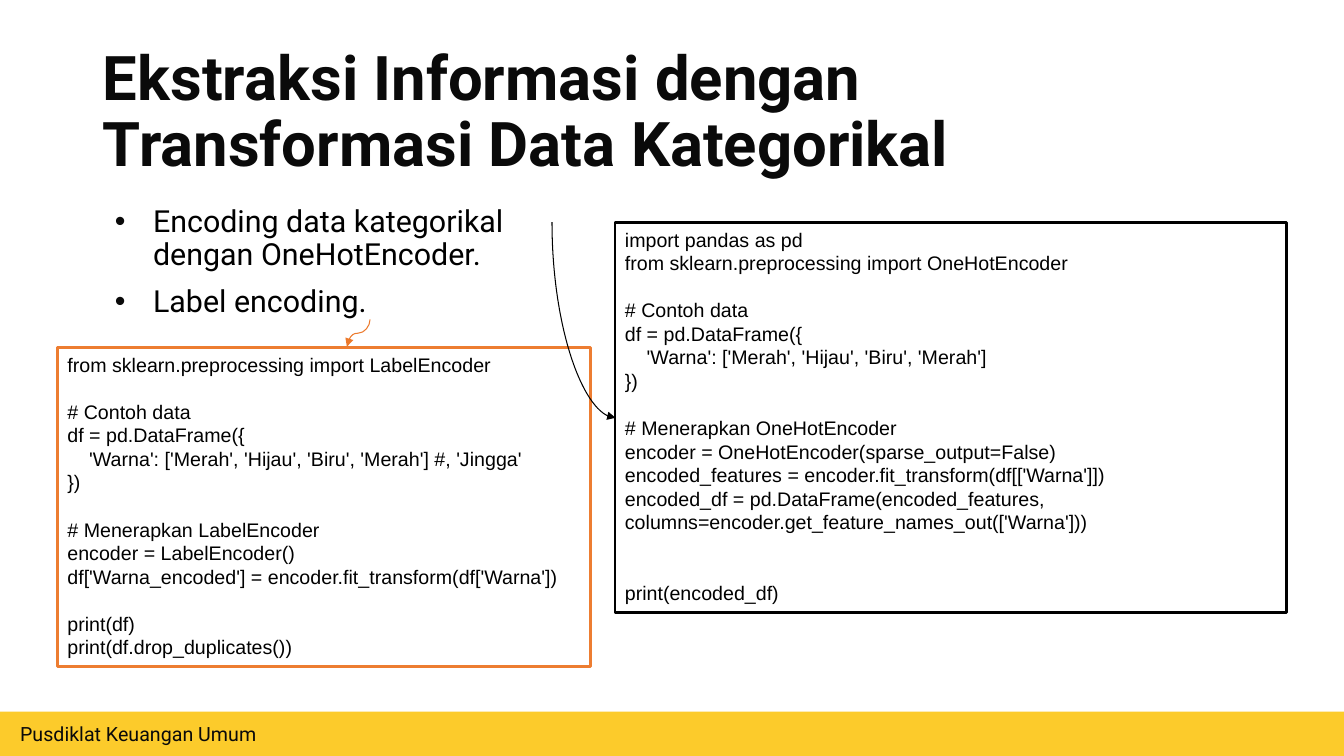
import pptx
import pptx.dml.color
import pptx.enum.shapes
import pptx.enum.text
import pptx.oxml
import pptx.oxml.ns
import pptx.util
from pptx.util import Inches

ONE_HOT_CODE = """import pandas as pd
from sklearn.preprocessing import OneHotEncoder

# Contoh data
df = pd.DataFrame({
    'Warna': ['Merah', 'Hijau', 'Biru', 'Merah']
})

# Menerapkan OneHotEncoder
encoder = OneHotEncoder(sparse_output=False)
encoded_features = encoder.fit_transform(df[['Warna']])
encoded_df = pd.DataFrame(encoded_features, columns=encoder.get_feature_names_out(['Warna']))


print(encoded_df)"""

LABEL_CODE = """from sklearn.preprocessing import LabelEncoder

# Contoh data
df = pd.DataFrame({
    'Warna': ['Merah', 'Hijau', 'Biru', 'Merah'] #, 'Jingga'
})

# Menerapkan LabelEncoder
encoder = LabelEncoder()
df['Warna_encoded'] = encoder.fit_transform(df['Warna'])

print(df)
print(df.drop_duplicates())"""


class SlideBuilder:
    """Holds the style and the current slide, and adds elements to it."""

    colors = {
        "ink": "0A0A0A",
        "black": "000000",
        "white": "FFFFFF",
        "yellow": "FCCB2B",
        "orange": "ED7D31",
        "arrow orange": "EC792B",
    }
    heading_font = "Roboto"
    code_font = "Arial"

    def __init__(self, presentation):
        self.slide = presentation.slides.add_slide(presentation.slide_layouts[5])

    def color(self, name):
        return pptx.dml.color.RGBColor.from_string(self.colors[name])

    def xml(self, parent, tag, **attributes):
        element = pptx.oxml.parse_xml(f"<a:{tag} {pptx.oxml.ns.nsdecls('a')}/>")
        for name, value in attributes.items():
            element.set(name, value)
        parent.append(element)
        return element

    def format_text(self, text_frame, font_name, size, color, bold=False):
        text_frame.word_wrap = True
        for paragraph in text_frame.paragraphs:
            paragraph.alignment = pptx.enum.text.PP_ALIGN.LEFT
            for run in paragraph.runs:
                run.font.name = font_name
                run.font.size = pptx.util.Pt(size)
                run.font.bold = bold
                run.font.color.rgb = self.color(color)
            if not paragraph.runs:
                self.xml(paragraph._p, "endParaRPr", sz=str(size * 100))

    def title(self, text, left, top, width, height):
        shape = self.slide.shapes.title
        shape.left, shape.top = Inches(left), Inches(top)
        shape.width, shape.height = Inches(width), Inches(height)
        text_frame = shape.text_frame
        text_frame.text = text
        text_frame.auto_size = pptx.enum.text.MSO_AUTO_SIZE.NONE
        text_frame.vertical_anchor = pptx.enum.text.MSO_ANCHOR.MIDDLE
        text_frame.paragraphs[0].line_spacing = 0.9
        self.format_text(text_frame, self.heading_font, 44, "ink", bold=True)

    def rectangle(self, left, top, width, height, fill, line=None):
        shape = self.slide.shapes.add_shape(
            pptx.enum.shapes.MSO_SHAPE.RECTANGLE,
            Inches(left), Inches(top), Inches(width), Inches(height))
        shape.shadow.inherit = False
        shape.fill.solid()
        shape.fill.fore_color.rgb = self.color(fill)
        if line:
            shape.line.color.rgb = self.color(line)
            shape.line.width = pptx.util.Pt(2)
        else:
            shape.line.fill.background()
        shape.text_frame.vertical_anchor = pptx.enum.text.MSO_ANCHOR.TOP
        return shape

    def footer(self, text, left, top, width, height):
        text_frame = self.rectangle(left, top, width, height, "yellow").text_frame
        text_frame.text = text
        text_frame.margin_left = text_frame.margin_right = Inches(0.2)
        text_frame.margin_top = text_frame.margin_bottom = Inches(0.1)
        self.format_text(text_frame, self.heading_font, 14, "ink")

    def code_box(self, code, left, top, width, height, line):
        text_frame = self.rectangle(left, top, width, height, "white", line).text_frame
        text_frame.text = code
        text_frame.auto_size = pptx.enum.text.MSO_AUTO_SIZE.SHAPE_TO_FIT_TEXT
        self.format_text(text_frame, self.code_font, 14, "black")

    def bullets(self, items, left, top, width, height):
        text_frame = self.slide.shapes.add_textbox(
            Inches(left), Inches(top), Inches(width), Inches(height)).text_frame
        text_frame.text = "\n".join(items)
        for index, paragraph in enumerate(text_frame.paragraphs):
            properties = paragraph._p.get_or_add_pPr()
            properties.set("marL", str(Inches(0.5)))
            properties.set("indent", str(Inches(-0.38)))
            bullet_color = self.xml(properties, "buClr")
            self.xml(bullet_color, "srgbClr", val=self.colors["ink"])
            self.xml(properties, "buFont", typeface="Arial")
            self.xml(properties, "buChar", char="•")
            paragraph.line_spacing = 0.9
            paragraph.space_before = pptx.util.Pt(10 if index else 0)
        self.format_text(text_frame, self.heading_font, 21.7, "black")

    def curved_arrow(self, left, top, width, height, rotation, color,
                     preset="curvedConnector3", flip=False):
        connector = self.slide.shapes.add_connector(
            pptx.enum.shapes.MSO_CONNECTOR.CURVE,
            Inches(left), Inches(top), Inches(left + width), Inches(top + height))
        connector.line.color.rgb = self.color(color)
        connector.line.width = pptx.util.Pt(0.75)
        properties = connector._element.spPr
        transform = properties.find(pptx.oxml.ns.qn("a:xfrm"))
        transform.set("rot", str(rotation * 60000))
        if flip:
            transform.set("flipH", "1")
        properties.find(pptx.oxml.ns.qn("a:prstGeom")).set("prst", preset)
        self.xml(connector.line._get_or_add_ln(), "tailEnd", type="triangle")
        self.xml(properties, "effectLst")


def main():
    presentation = pptx.Presentation()
    presentation.slide_width = Inches(13.33)
    presentation.slide_height = Inches(7.5)
    builder = SlideBuilder(presentation)
    builder.footer("Pusdiklat Keuangan Umum", 0, 7.06, 13.33, 0.44)
    builder.title("Ekstraksi Informasi dengan Transformasi Data Kategorikal",
                  0.92, 0.4, 11.5, 1.45)
    builder.bullets(["Encoding data kategorikal dengan OneHotEncoder.",
                     "Label encoding."], 0.92, 2, 4.94, 1.45)
    builder.code_box(ONE_HOT_CODE, 6.1, 2.21, 6.66, 3.87, "black")
    builder.code_box(LABEL_CODE, 0.57, 3.45, 5.29, 3.16, "orange")
    builder.curved_arrow(4.82, 2.86, 1.94, 0.63, 270, "black",
                         preset="curvedConnector2", flip=True)
    builder.curved_arrow(3.42, 3.19, 0.27, 0.23, 90, "arrow orange")
    presentation.save("out.pptx")


if __name__ == "__main__":
    main()
